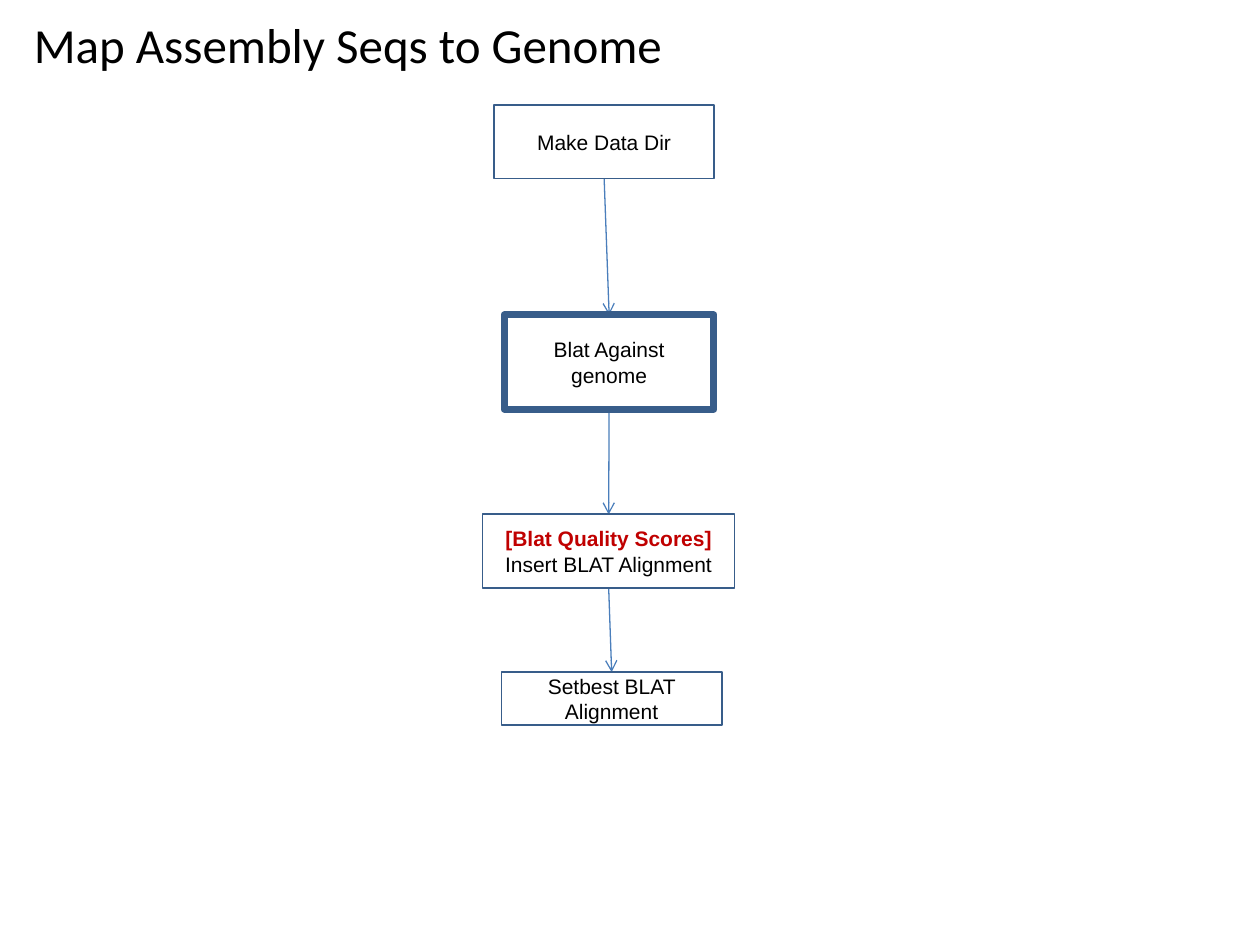
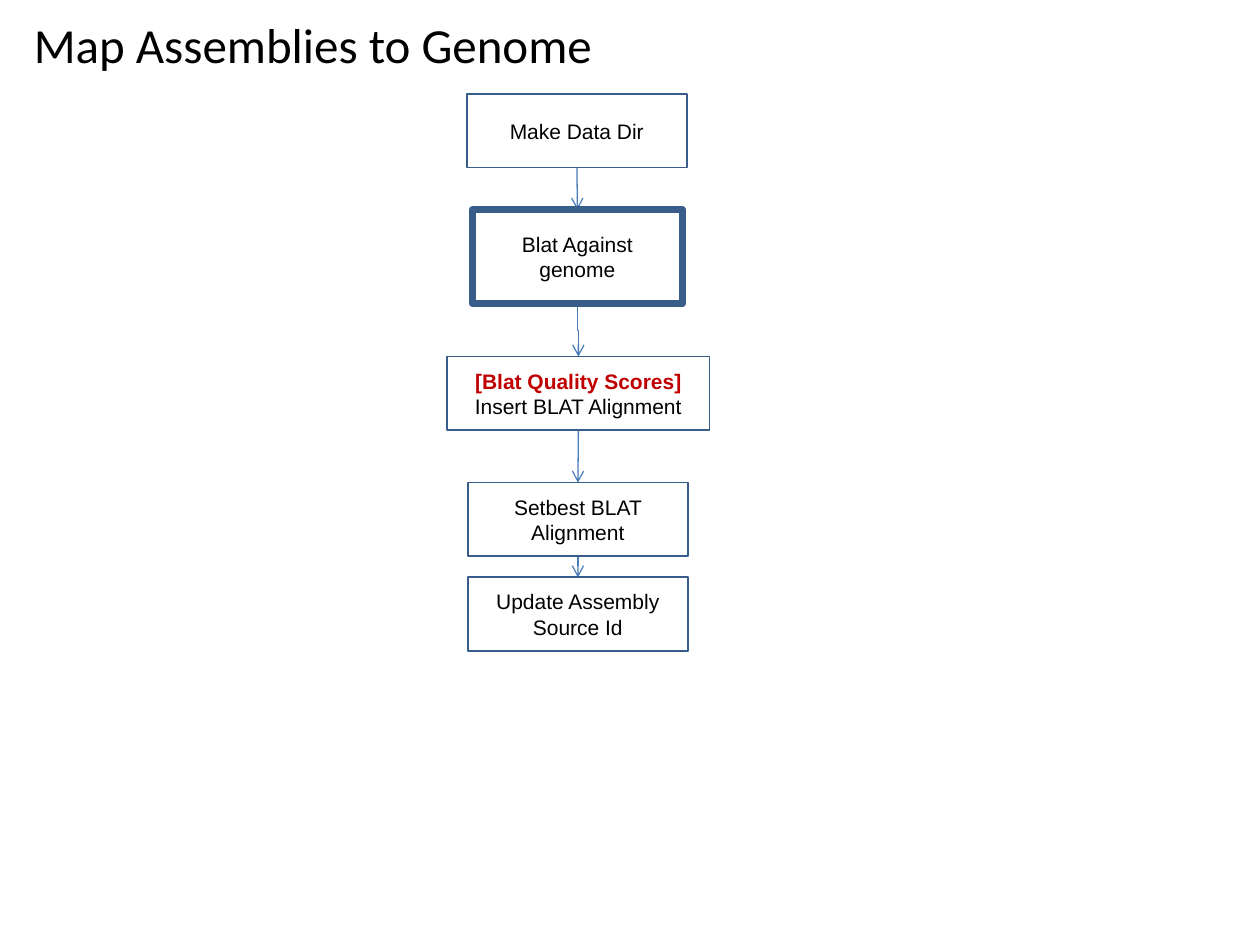
from lxml import etree
from pptx import Presentation
from pptx.dml.color import RGBColor
from pptx.enum.shapes import MSO_CONNECTOR, MSO_SHAPE
from pptx.enum.text import MSO_ANCHOR, MSO_AUTO_SIZE, PP_ALIGN
from pptx.oxml.ns import qn
from pptx.util import Cm, Pt

RECT = MSO_SHAPE.RECTANGLE
LINE, BENT = MSO_CONNECTOR.STRAIGHT, MSO_CONNECTOR.ELBOW
MID, LEFT, CENTER = MSO_ANCHOR.MIDDLE, PP_ALIGN.LEFT, PP_ALIGN.CENTER
TITLE_ONLY = 5
BOTTOM, TOP = 2, 0  # connection sites of a rectangle

COLORS = {"text": "000000", "score": "C00000", "edge": "385D8A", "arrow": "4A7EBB"}

# Fonts by role: name, size, bold and colour key
FONTS = {
    "title": ({"name": "Calibri", "size": Pt(28), "bold": False}, "text"),
    "step": ({"name": "Arial", "size": Pt(12), "bold": False}, "text"),
    "score": ({"name": "Arial", "size": Pt(12), "bold": True}, "score"),
}

STEP = (4.44, 1.48)
MAKE = [("Make Data Dir", "step")]
BLAT = [("Blat Against genome", "step")]
INSERT = [("[Blat Quality Scores]", "score"), ("Insert BLAT Alignment", "step")]
BEST = [("Setbest BLAT Alignment", "step")]
UPDATE = [("Update Assembly Source Id", "step")]

# Each step: lines, size in cm, shift and drop from the start of the flow, edge in points
SLIDES = [
    {
        "title": "Map Assembly Seqs to Genome",
        "width": 20.32,
        "start": (12.18, 2.12),
        "steps": [
            (MAKE, STEP, 0, 0, 1),
            (BLAT, (4.23, 1.9), 0.1, 4.23, 4),
            (INSERT, (5.08, 1.48), 0.09, 8.25, 1),
            (BEST, (4.44, 1.06), 0.15, 11.43, 1),
        ],
        "links": [LINE, LINE, LINE],
    },
    {
        "title": "Map Assemblies to Genome",
        "width": 14.18,
        "start": (11.63, 1.9),
        "steps": [
            (MAKE, STEP, 0, 0, 1),
            (BLAT, (4.23, 1.9), 0.01, 2.33, 4),
            (INSERT, (5.29, 1.48), 0.03, 5.29, 1),
            (BEST, STEP, 0.02, 7.83, 1),
            (UPDATE, STEP, 0.02, 9.74, 1),
        ],
        "links": [LINE, BENT, LINE, LINE],
    },
]


def style(item, **values):
    for key, value in values.items():
        setattr(item, key, value)


def rgb(key):
    return RGBColor.from_string(COLORS[key])


def write(frame, lines, align):
    """Fill a text frame with (text, role) lines."""
    style(frame, word_wrap=True, auto_size=MSO_AUTO_SIZE.NONE, vertical_anchor=MID)
    for i, (text, role) in enumerate(lines):
        par = frame.add_paragraph() if i else frame.paragraphs[0]
        par.alignment = align
        run = par.add_run()
        run.text = text
        values, color = FONTS[role]
        style(run.font, **values)
        run.font.color.rgb = rgb(color)


def add_title(slide, text, width):
    title = slide.shapes.title
    style(title, left=Cm(0.43), top=Cm(0.2), width=Cm(width), height=Cm(1.35))
    write(title.text_frame, [(text, "title")], LEFT)


def add_arrow(slide, kind):
    """Add an arrow that gets its place when it is joined to two boxes."""
    arrow = slide.shapes.add_connector(kind, 0, 0, 0, 0)
    arrow.line.color.rgb = rgb("arrow")
    arrow.line.width = Pt(0.75)
    etree.SubElement(arrow.line._get_or_add_ln(), qn("a:tailEnd"), type="arrow")
    etree.SubElement(arrow.element.spPr, qn("a:effectLst"))
    return arrow


def join(arrow, kind, upper, lower):
    arrow.begin_connect(upper, BOTTOM)
    arrow.end_connect(lower, TOP)
    if kind == BENT:
        turn(arrow)


def turn(arrow):
    """Turn an elbow so that it leaves and arrives vertically."""
    wide, high = arrow.width, arrow.height
    x, y = arrow.left + wide // 2, arrow.top + high // 2
    style(arrow, left=x - high // 2, top=y - wide // 2, width=high, height=wide)
    frame = arrow.element.spPr.xfrm
    frame.set("rot", str(270 * 60000))
    frame.set("flipH", "1")


def add_box(slide, start, lines, size, shift, drop, edge):
    (x, y), (wide, high) = start, size
    box = slide.shapes.add_shape(
        RECT, Cm(x + shift - wide / 2), Cm(y + drop), Cm(wide), Cm(high))
    box.shadow.inherit = False
    box.fill.background()
    box.line.color.rgb = rgb("edge")
    box.line.width = Pt(edge)
    write(box.text_frame, lines, CENTER)
    return box


def add_flow(slide, start, steps, links):
    """Stack the steps below start (centre, top), with the arrows behind them."""
    arrows = [add_arrow(slide, kind) for kind in links]
    boxes = [add_box(slide, start, *step) for step in steps]
    for arrow, kind, upper, lower in zip(arrows, links, boxes, boxes[1:]):
        join(arrow, kind, upper, lower)


def main():
    deck = Presentation()
    style(deck, slide_width=Cm(25.4), slide_height=Cm(19.05))
    for page in SLIDES:
        slide = deck.slides.add_slide(deck.slide_layouts[TITLE_ONLY])
        add_title(slide, page["title"], page["width"])
        add_flow(slide, page["start"], page["steps"], page["links"])
    deck.save("out.pptx")


if __name__ == "__main__":
    main()
